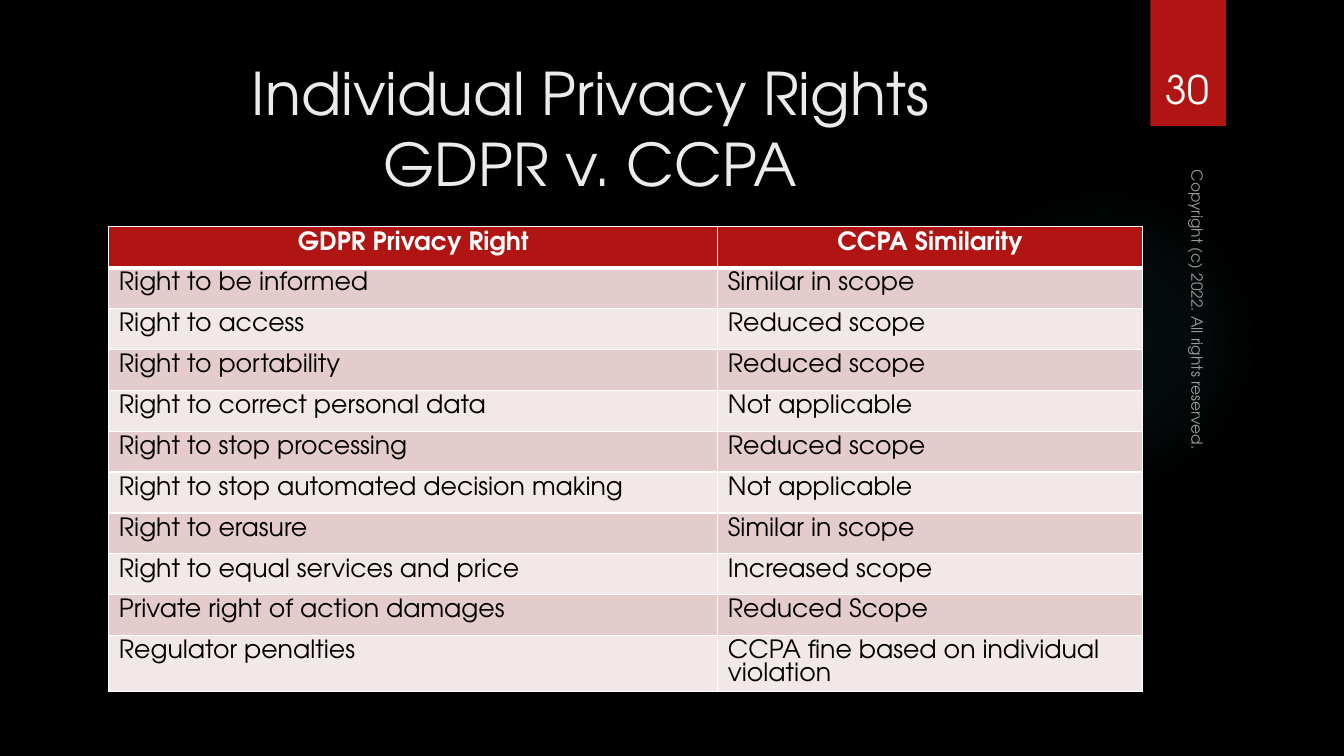
from dataclasses import dataclass

from lxml import etree
from pptx import Presentation
from pptx.dml.color import RGBColor
from pptx.enum.shapes import MSO_SHAPE
from pptx.enum.text import MSO_ANCHOR, PP_ALIGN
from pptx.oxml import parse_xml
from pptx.oxml.ns import qn
from pptx.util import Inches, Pt

LEFT, CENTER = PP_ALIGN.LEFT, PP_ALIGN.CENTER
TOP, MIDDLE, BOTTOM = MSO_ANCHOR.TOP, MSO_ANCHOR.MIDDLE, MSO_ANCHOR.BOTTOM
RECT, OVAL = MSO_SHAPE.RECTANGLE, MSO_SHAPE.OVAL

BLACK = RGBColor(0x00, 0x00, 0x00)
WHITE = RGBColor(0xFF, 0xFF, 0xFF)
PALE = RGBColor(0xEB, 0xEB, 0xEB)
RED = RGBColor(0xB0, 0x15, 0x13)
TEAL = RGBColor(0x50, 0xB9, 0xC1)
BANDS = RGBColor(0xF2, 0xE8, 0xE7), RGBColor(0xE4, 0xCC, 0xCC)

FONT = "TeX Gyre Adventor"
WIDTH, HEIGHT = Inches(13.33), Inches(7.5)
COLUMNS = 45.31, 31.58
ROW = 5.41
GLOW_STOPS = (0, 7), (36, 6), (69, 0)
DRAWING = 'xmlns:a="http://schemas.openxmlformats.org/drawingml/2006/main"'

RIGHTS = [
    ("GDPR Privacy Right", "CCPA Similarity"),
    ("Right to be informed", "Similar in scope"),
    ("Right to access", "Reduced scope"),
    ("Right to portability", "Reduced scope"),
    ("Right to correct personal data", "Not applicable"),
    ("Right to stop processing", "Reduced scope"),
    ("Right to stop automated decision making", "Not applicable"),
    ("Right to erasure", "Similar in scope"),
    ("Right to equal services and price", "Increased scope"),
    ("Private right of action damages", "Reduced Scope"),
    ("Regulator penalties", "CCPA fine based on individual violation"),
]


def across(percent: float) -> int:
    return round(WIDTH * percent / 100)


def down(percent: float) -> int:
    return round(HEIGHT * percent / 100)


@dataclass(frozen=True)
class Frame:
    left: float
    top: float
    width: float
    height: float

    def box(self) -> tuple[int, int, int, int]:
        return across(self.left), down(self.top), across(self.width), down(self.height)


@dataclass(frozen=True)
class Label:
    text: str
    frame: Frame
    size: float
    color: RGBColor
    align: PP_ALIGN = CENTER
    anchor: MSO_ANCHOR = BOTTOM
    rotation: float = 0
    opacity: int = 100


LABELS = [
    Label("Individual Privacy Rights\vGDPR v. CCPA", Frame(5.33, 6.67, 77.19, 20.4),
          42, PALE, anchor=MIDDLE),
    Label("Copyright (c) 2022. All rights reserved.", Frame(73.44, 47.07, 31.66, 4.4),
          11, WHITE, align=LEFT, rotation=90, opacity=60),
    Label("30", Frame(84.92, 4.27, 6.9, 11.2), 28, WHITE),
]


def write(tf, text: str, *, size: float, color: RGBColor, align: PP_ALIGN = LEFT,
          bold: bool = False, opacity: int = 100, spacing: float | None = None) -> None:
    p = tf.paragraphs[0]
    p.text = text
    p.alignment = align
    if spacing:
        p.line_spacing = Pt(spacing)
    for r in p.runs:
        r.font.name, r.font.size, r.font.bold = FONT, Pt(size), bold
        r.font.color.rgb = color
        if opacity < 100:
            tint = r.font.fill._xPr.find(qn("a:solidFill"))[0]
            etree.SubElement(tint, qn("a:alpha"), val=str(opacity * 1000))


def add_label(s, label: Label) -> None:
    sp = s.shapes.add_textbox(*label.frame.box())
    sp.rotation = label.rotation
    tf = sp.text_frame
    tf.word_wrap = True
    tf.vertical_anchor = label.anchor
    write(tf, label.text, size=label.size, color=label.color,
          align=label.align, opacity=label.opacity)


def add_plain(s, preset: MSO_SHAPE, frame: Frame, color: RGBColor):
    sp = s.shapes.add_shape(preset, *frame.box())
    sp.shadow.inherit = False
    sp.fill.solid()
    sp.fill.fore_color.rgb = color
    sp.line.fill.background()
    return sp


def add_glow(s, frame: Frame) -> None:
    sp = add_plain(s, OVAL, frame, TEAL)
    stops = "".join(
        f'<a:gs pos="{pos * 1000}"><a:srgbClr val="{TEAL}">'
        f'<a:alpha val="{alpha * 1000}"/></a:srgbClr></a:gs>'
        for pos, alpha in GLOW_STOPS)
    gradient = parse_xml(
        f'<a:gradFill {DRAWING} rotWithShape="1"><a:gsLst>{stops}</a:gsLst>'
        '<a:path path="circle"><a:fillToRect l="50000" t="50000" r="50000" b="50000"/>'
        '</a:path></a:gradFill>')
    solid = sp._element.spPr.find(qn("a:solidFill"))
    solid.getparent().replace(solid, gradient)


def add_borders(cell, top: float, bottom: float) -> None:
    props = cell._tc.get_or_add_tcPr()
    for side, width in zip("LRTB", (1, 1, top, bottom)):
        props.append(parse_xml(
            f'<a:ln{side} {DRAWING} w="{Pt(width)}"><a:solidFill>'
            f'<a:srgbClr val="{WHITE}"/></a:solidFill></a:ln{side}>'))


def add_rights_table(s, left: float, top: float) -> None:
    frame = Frame(left, top, sum(COLUMNS), ROW * len(RIGHTS))
    table = s.shapes.add_table(len(RIGHTS), len(COLUMNS), *frame.box()).table
    table.first_row = table.horz_banding = False
    for column, width in zip(table.columns, COLUMNS):
        column.width = across(width)
    for i, texts in enumerate(RIGHTS):
        header = i == 0
        table.rows[i].height = down(ROW)
        for j, text in enumerate(texts):
            cell = table.cell(i, j)
            add_borders(cell, top=3 if i == 1 else 1, bottom=3 if header else 1)
            cell.fill.solid()
            cell.fill.fore_color.rgb = RED if header else BANDS[i % 2]
            cell.vertical_anchor = TOP
            write(cell.text_frame, text, size=18, color=WHITE if header else BLACK,
                  align=CENTER if header else LEFT, bold=header, spacing=16.5)


def main() -> None:
    prs = Presentation()
    prs.slide_width, prs.slide_height = WIDTH, HEIGHT
    s = prs.slides.add_slide(prs.slide_layouts[6])
    s.background.fill.solid()
    s.background.fill.fore_color.rgb = BLACK
    add_glow(s, Frame(70.59, 24.4, 23.1, 41.07))
    add_plain(s, RECT, Frame(85.6, 0, 5.63, 16.67), RED)
    for label in LABELS:
        add_label(s, label)
    add_rights_table(s, 8.1, 30)
    prs.save("out.pptx")


if __name__ == "__main__":
    main()
